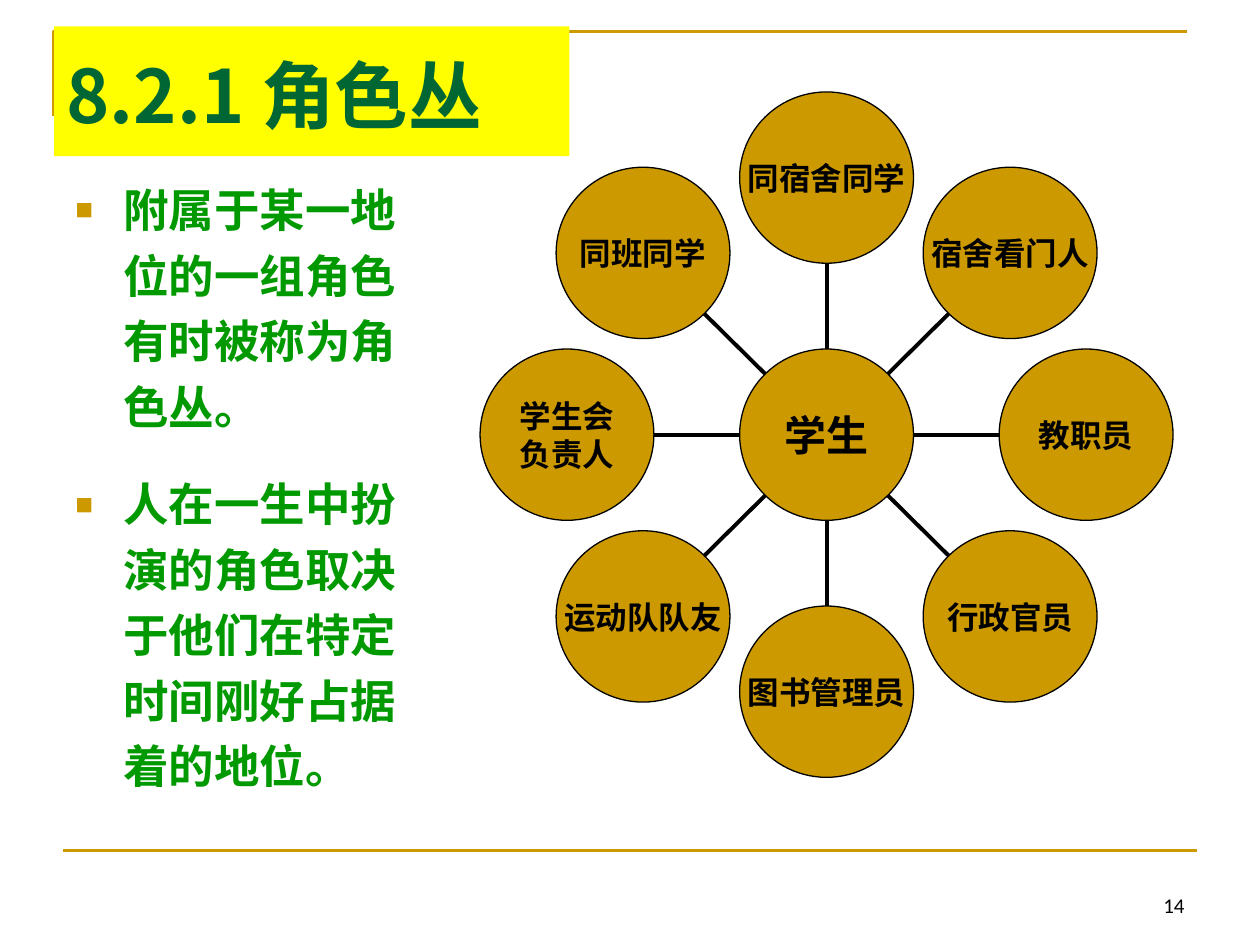
import math

from pptx import Presentation
from pptx.dml.color import RGBColor
from pptx.enum import shapes, text
from pptx.oxml.ns import qn
from pptx.util import Inches, Pt

GOLD = RGBColor(0xCC, 0x99, 0x00)
YELLOW = RGBColor(0xFF, 0xFF, 0x00)
DARK_GREEN = RGBColor(0x00, 0x66, 0x33)
GREEN = RGBColor(0x00, 0x99, 0x00)
BLACK = RGBColor(0x00, 0x00, 0x00)
CJK = "Noto Sans CJK SC"

CENTER_X, CENTER_Y = 6.56, 3.45
ORBIT_X, ORBIT_Y = 2.06, 2.04
NODE_W, NODE_H = 1.38, 1.36
ROLES = ["同宿舍同学", "宿舍看门人", "教职员", "行政官员",
         "图书管理员", "运动队队友", "学生会\n负责人", "同班同学"]
POINTS = [
    "附属于某一地位的一组角色有时被称为角色丛。",
    "人在一生中扮演的角色取决于他们在特定时间刚好占据着的地位。",
]


def add_bullet(p):
    pPr = p._p.get_or_add_pPr()
    pPr.set("marL", str(Inches(0.38)))
    pPr.set("indent", str(-Inches(0.38)))
    color = pPr.makeelement(qn("a:buClr"), {})
    color.append(color.makeelement(qn("a:srgbClr"), {"val": str(GOLD)}))
    pPr.append(color)
    pPr.append(pPr.makeelement(qn("a:buSzPct"), {"val": "65000"}))
    pPr.append(pPr.makeelement(qn("a:buFont"), {"typeface": "Arial"}))
    pPr.append(pPr.makeelement(qn("a:buChar"), {"char": "■"}))


def write(sp, lines, size, color, font=CJK, bold=True, align=text.PP_ALIGN.LEFT,
          anchor=text.MSO_ANCHOR.TOP, wrap=True, spacing=1.0, gap=0, bullet=False):
    tf = sp.text_frame
    tf.word_wrap = wrap
    tf.vertical_anchor = anchor
    for i, line in enumerate(lines):
        p = tf.add_paragraph() if i else tf.paragraphs[0]
        p.alignment = align
        p.line_spacing = spacing
        if i and gap:
            p.space_before = Pt(gap)
        if bullet:
            add_bullet(p)
        r = p.add_run()
        r.text = line
        r.font.size = Pt(size)
        r.font.bold = bold
        r.font.name = font
        r.font.color.rgb = color
        rPr = r.font._element
        rPr.find(qn("a:latin")).addnext(rPr.makeelement(qn("a:ea"), {"typeface": font}))
    return tf


def add_line(s, x1, y1, x2, y2, color, width):
    line = s.shapes.add_connector(shapes.MSO_CONNECTOR.STRAIGHT,
                                  Inches(x1), Inches(y1), Inches(x2), Inches(y2))
    line.line.color.rgb = color
    line.line.width = Pt(width)
    spPr = line._element.spPr
    spPr.append(spPr.makeelement(qn("a:effectLst"), {}))


def add_filled(s, kind, x, y, w, h, fill):
    sp = s.shapes.add_shape(kind, Inches(x), Inches(y), Inches(w), Inches(h))
    sp.shadow.inherit = False
    sp.fill.solid()
    sp.fill.fore_color.rgb = fill
    sp.line.fill.background()
    return sp


def add_node(s, x, y, label, size=18, font=CJK):
    sp = add_filled(s, shapes.MSO_SHAPE.OVAL, x - NODE_W / 2, y - NODE_H / 2,
                    NODE_W, NODE_H, GOLD)
    sp.line.color.rgb = BLACK
    sp.line.width = Pt(0.75)
    tf = write(sp, label.split("\n"), size, BLACK, font=font, wrap=False,
               align=text.PP_ALIGN.CENTER, anchor=text.MSO_ANCHOR.MIDDLE)
    tf.margin_left = tf.margin_right = tf.margin_top = tf.margin_bottom = 0


def add_role_set(s):
    for i, role in enumerate(ROLES):
        angle = 2 * math.pi * i / len(ROLES)
        dx, dy = ORBIT_X * math.sin(angle), -ORBIT_Y * math.cos(angle)
        add_line(s, CENTER_X + dx / 3, CENTER_Y + dy / 3,
                 CENTER_X + dx * 2 / 3, CENTER_Y + dy * 2 / 3, BLACK, 2.25)
        add_node(s, CENTER_X + dx, CENTER_Y + dy, role)
    add_node(s, CENTER_X, CENTER_Y, "学生", size=24, font="Arial")


def add_frame(s):
    fb = s.shapes.build_freeform(Inches(0.42), Inches(0.92))
    fb.add_line_segments([(Inches(0.42), Inches(0.25)), (Inches(9.42), Inches(0.25))],
                         close=False)
    corner = fb.convert_to_shape()
    corner.shadow.inherit = False
    corner.fill.background()
    corner.line.color.rgb = GOLD
    corner.line.width = Pt(1.5)
    add_line(s, 0.5, 6.75, 9.5, 6.75, GOLD, 1.5)


def add_text(s, x, y, w, h, lines, size, color, **fmt):
    sp = s.shapes.add_textbox(Inches(x), Inches(y), Inches(w), Inches(h))
    return write(sp, lines, size, color, **fmt)


def main():
    prs = Presentation()
    prs.slide_width, prs.slide_height = Inches(10), Inches(7.5)
    s = prs.slides.add_slide(prs.slide_layouts[6])
    add_frame(s)
    add_text(s, 7.17, 6.83, 2.33, 0.5, ["14"], 12, BLACK, font="Calibri", bold=False,
             align=text.PP_ALIGN.RIGHT, anchor=text.MSO_ANCHOR.BOTTOM)
    title = add_filled(s, shapes.MSO_SHAPE.RECTANGLE, 0.43, 0.21, 4.09, 1.03, YELLOW)
    write(title, ["8.2.1 角色丛"], 42, DARK_GREEN, spacing=1.2)
    add_text(s, 0.5, 1.31, 3, 5.4, POINTS, 26, GREEN, spacing=1.2, gap=18.5, bullet=True)
    add_role_set(s)
    prs.save("out.pptx")


if __name__ == "__main__":
    main()
